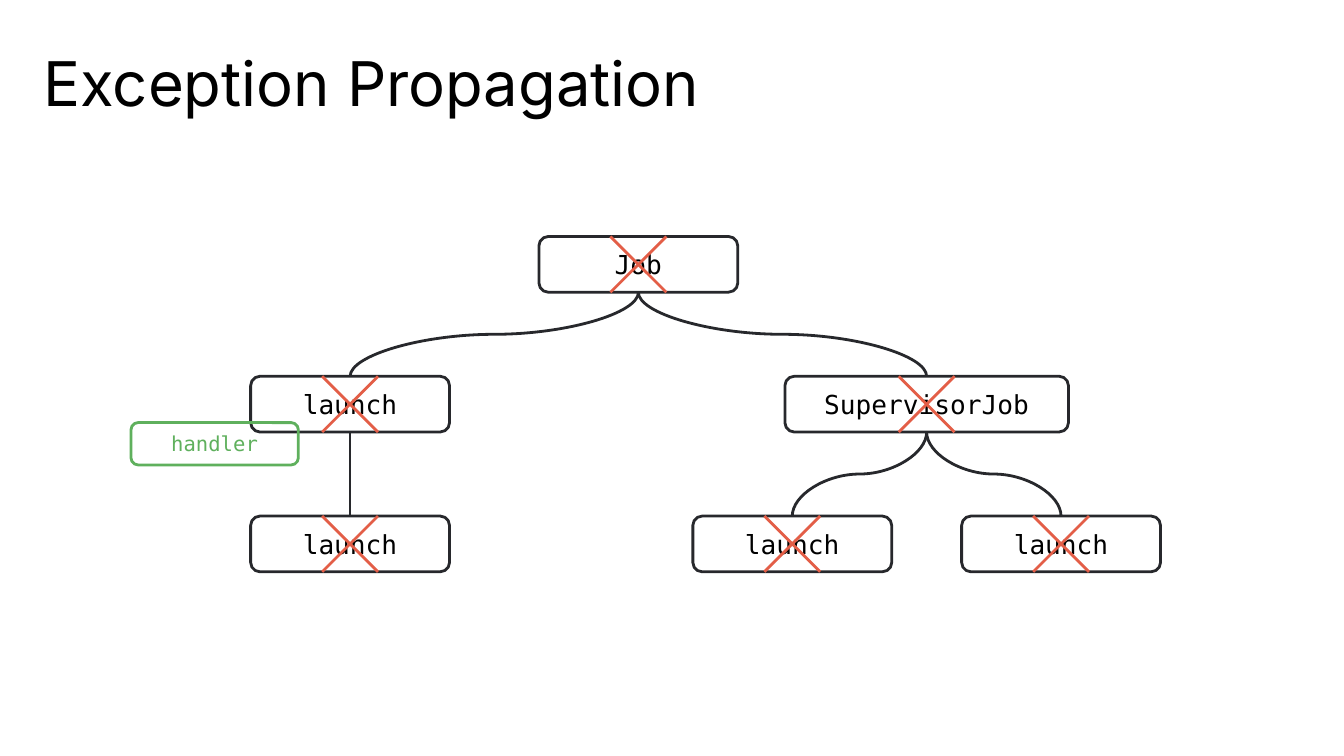
from lxml.etree import SubElement
from pptx import Presentation
from pptx.dml.color import RGBColor
from pptx.enum.shapes import MSO_CONNECTOR, MSO_SHAPE
from pptx.enum.text import MSO_ANCHOR, PP_ALIGN
from pptx.oxml.ns import qn
from pptx.util import Pt

PX = 4572  # 200 px to the inch
COLORS = {
    "text": "000000",
    "box": "FFFFFF",
    "line": "27282C",
    "handler": "5FB05D",
    "cross": "E35E47",
}
MONO = "DejaVu Sans Mono"
WIDE, HIGH = 296, 83
TOP, STEP = 352, 208

# name: (label, centre x, level, width)
NODES = {
    "root": ("Job", 950, 0, WIDE),
    "left": ("launch", 521, 1, WIDE),
    "right": ("SupervisorJob", 1379, 1, 422),
    "leaf": ("launch", 521, 2, WIDE),
    "first": ("launch", 1179, 2, WIDE),
    "second": ("launch", 1579, 2, WIDE),
}
LINKS = [
    ("root", "left"),
    ("root", "right"),
    ("left", "leaf"),
    ("right", "first"),
    ("right", "second"),
]


def px(*nums):
    return [round(n * PX) for n in nums]


def color(name):
    return RGBColor.from_string(COLORS[name])


def write(shape, text, size=14, font=MONO, tint="text", align=PP_ALIGN.CENTER,
          anchor=MSO_ANCHOR.MIDDLE, side=20, space=1.0):
    frame = shape.text_frame
    frame.word_wrap = True
    frame.vertical_anchor = anchor
    frame.margin_left, frame.margin_right = px(side, side)
    frame.margin_top, frame.margin_bottom = px(20, 20)
    para = frame.paragraphs[0]
    para.alignment = align
    para.line_spacing = space
    run = para.add_run()
    run.text = text
    run.font.size = Pt(size)
    run.font.name = font
    run.font.color.rgb = color(tint)


def add_title(slide, text):
    box = slide.shapes.add_textbox(*px(65, 64, 1860, 100))
    write(box, text, size=33, font="Inter", align=PP_ALIGN.LEFT,
          anchor=MSO_ANCHOR.TOP, side=0, space=0.85)


def add_box(slide, text, place, fill=None, line="line", **style):
    box = slide.shapes.add_shape(MSO_SHAPE.ROUNDED_RECTANGLE, *px(*place))
    box.adjustments[0] = 0.167
    box.shadow.inherit = False
    if fill:
        box.fill.solid()
        box.fill.fore_color.rgb = color(fill)
    else:
        box.fill.background()
    box.line.color.rgb = color(line)
    box.line.width = Pt(1.5)
    write(box, text, **style)


def add_line(shapes, kind, ends, tint):
    line = shapes.add_connector(kind, *px(*ends))
    line.line.color.rgb = color(tint)
    line.line.width = Pt(1.5)
    SubElement(line._element.spPr, qn("a:effectLst"))
    return line


def add_link(slide, start, end):
    """Join two nodes with a curve that leaves and enters vertically."""
    _, x1, level, _ = NODES[start]
    x2 = NODES[end][1]
    drop = STEP - HIGH
    mid_x = (x1 + x2) / 2
    mid_y = TOP + level * STEP + HIGH + drop / 2
    half = abs(x2 - x1) / 2
    turn = drop / 2 if x2 >= x1 else -drop / 2
    ends = mid_x + turn, mid_y - half, mid_x - turn, mid_y + half
    curve = add_line(slide.shapes, MSO_CONNECTOR.CURVE, ends, "line")
    angle = 270 if x2 >= x1 else 90
    curve._element.spPr.find(qn("a:xfrm")).set("rot", str(angle * 60000))


def add_cross(slide, x, y):
    group = slide.shapes.add_group_shape()
    half = HIGH / 2
    for side in (-half, half):
        ends = x + side, y, x - side, y + HIGH
        add_line(group.shapes, MSO_CONNECTOR.STRAIGHT, ends, "cross")


def main():
    deck = Presentation()
    deck.slide_width, deck.slide_height = px(2000, 1125)
    slide = deck.slides.add_slide(deck.slide_layouts[6])

    add_title(slide, "Exception Propagation")
    for label, x, level, width in NODES.values():
        place = x - width / 2, TOP + level * STEP, width, HIGH
        add_box(slide, label, place, fill="box")
    for start, end in LINKS:
        add_link(slide, start, end)
    add_box(slide, "handler", (195, 629, 249, 63), line="handler",
            size=11, tint="handler")
    for _, x, level, _ in NODES.values():
        add_cross(slide, x, TOP + level * STEP)

    deck.save("out.pptx")


if __name__ == "__main__":
    main()
